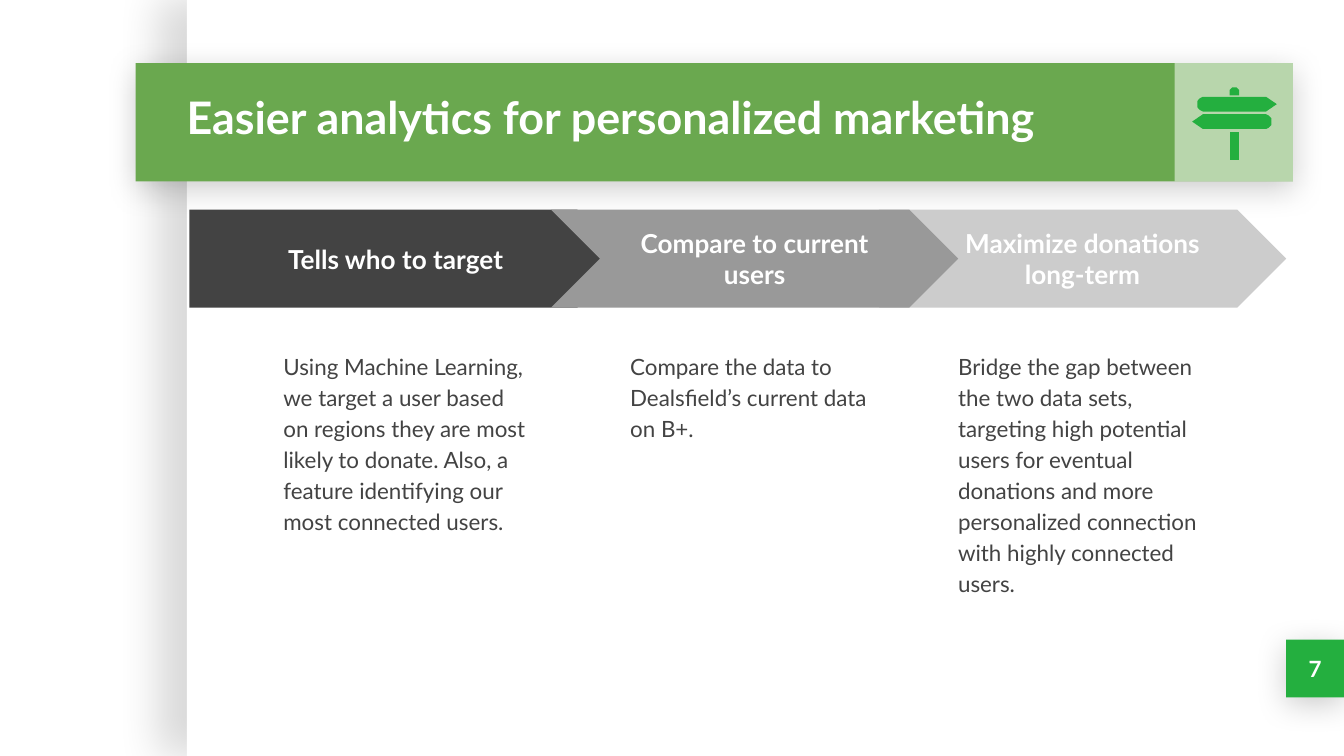
from lxml.etree import SubElement
from pptx import Presentation
from pptx.dml.color import RGBColor
from pptx.enum.shapes import MSO_SHAPE
from pptx.enum.text import MSO_ANCHOR, PP_ALIGN
from pptx.oxml.ns import qn
from pptx.util import Inches, Pt

WHITE = RGBColor(0xFF, 0xFF, 0xFF)
BLACK = RGBColor(0x00, 0x00, 0x00)
GREEN = RGBColor(0x24, 0xAF, 0x3F)
BANNER_GREEN = RGBColor(0x6A, 0xA8, 0x4F)
DARK_GRAY = RGBColor(0x43, 0x43, 0x43)
MID_GRAY = RGBColor(0x99, 0x99, 0x99)
LIGHT_GRAY = RGBColor(0xCC, 0xCC, 0xCC)
FONT = "Lato"
PAGE_WIDTH = 10
PAGE_HEIGHT = PAGE_WIDTH * 9 / 16

STEPS = [
    (MSO_SHAPE.CHEVRON, 6.54, 3.03, LIGHT_GRAY, 7.03, "Maximize donations long-term",
     "Bridge the gap between the two data sets, targeting high potential users for eventual "
     "donations and more personalized connection with highly connected users."),
    (MSO_SHAPE.PENTAGON, 1.41, 3.25, DARK_GRAY, 2.01, "Tells who to target",
     "Using Machine Learning, we target a user based on regions they are most likely to "
     "donate. Also, a feature identifying our most connected users."),
    (MSO_SHAPE.CHEVRON, 4.1, 3.03, MID_GRAY, 4.59, "Compare to current users",
     "Compare the data to Dealsfield’s current data on B+."),
]


def set_alpha(color_element, percent):
    """Give a colour element an opacity in percent."""
    SubElement(color_element, qn("a:alpha"), val=str(percent * 1000))


def add_shadow(shape, opacity, blur, distance, angle):
    """Add a black outer shadow to a shape."""
    effects = shape._element.spPr.find(qn("a:effectLst"))
    shadow = SubElement(effects, qn("a:outerShdw"), blurRad=str(Pt(blur)),
                        dist=str(Pt(distance)), dir=str(angle * 60000),
                        algn="bl", rotWithShape="0")
    set_alpha(SubElement(shadow, qn("a:srgbClr"), val=str(BLACK)), opacity)


def paint(shape, color):
    """Give a shape a plain fill without line or inherited shadow."""
    shape.shadow.inherit = False
    shape.fill.solid()
    shape.fill.fore_color.rgb = color
    shape.line.fill.background()


def add_block(page, kind, left, top, width, height, color):
    """Add a filled preset shape."""
    block = page.shapes.add_shape(kind, Inches(left), Inches(top), Inches(width), Inches(height))
    paint(block, color)
    return block


def write(shape, text, size, color=WHITE, bold=True, align=PP_ALIGN.CENTER,
          anchor=MSO_ANCHOR.MIDDLE, spacing=1.0):
    """Write one formatted paragraph in a shape."""
    frame = shape.text_frame
    frame.word_wrap = True
    frame.vertical_anchor = anchor
    frame.margin_left = frame.margin_right = Inches(0.1)
    frame.margin_top = frame.margin_bottom = Inches(0.1)
    para = frame.paragraphs[0]
    para.alignment = align
    para.line_spacing = spacing
    span = para.add_run()
    span.text = text
    span.font.name = FONT
    span.font.size = Pt(size)
    span.font.bold = bold
    span.font.color.rgb = color


def add_text(page, left, top, width, height, text, size, **style):
    """Add a text box with one formatted paragraph."""
    box = page.shapes.add_textbox(Inches(left), Inches(top), Inches(width), Inches(height))
    write(box, text, size, **style)


def add_outline(page, points):
    """Add a closed green outline through points in inches."""
    corners = [(Inches(x), Inches(y)) for x, y in points]
    builder = page.shapes.build_freeform(*corners[0])
    builder.add_line_segments(corners[1:], close=True)
    paint(builder.convert_to_shape(), GREEN)


def add_board(page, back, top, direction):
    """Add a signpost board with a rounded back, pointing right (1) or left (-1)."""
    upper = [(0.51, 0), (0.04, 0), (0.02, 0.01), (0.01, 0.02), (0, 0.03)]
    lower = [(x, 0.11 - y) for x, y in reversed(upper)]
    points = upper + lower + [(0.59, 0.11 / 2)]
    add_outline(page, [(back + direction * x, top + y) for x, y in points])


def add_signpost(page):
    """Draw the signpost icon."""
    add_board(page, 8.91, 0.72, 1)
    add_board(page, 9.46, 0.85, -1)
    add_outline(page, [(9.17, 0.65), (9.16, 0.66), (9.15, 0.67), (9.15, 0.71),
                       (9.22, 0.71), (9.22, 0.67), (9.21, 0.66), (9.2, 0.65)])
    add_outline(page, [(9.15, 0.98), (9.15, 1.19), (9.22, 1.19), (9.22, 0.98)])


def add_frame(page):
    """Draw the panel, banner, icon tile, title and page number."""
    panel = add_block(page, MSO_SHAPE.RECTANGLE, 1.39, 0, 8.61, PAGE_HEIGHT, WHITE)
    add_shadow(panel, 15, 22.5, 15, 180)
    badge = add_block(page, MSO_SHAPE.RECTANGLE, 9.57, 4.76, 0.43, 0.43, GREEN)
    banner = add_block(page, MSO_SHAPE.RECTANGLE, 1.01, 0.47, 8.61, 0.88, BANNER_GREEN)
    for shape in (badge, banner):
        add_shadow(shape, 20, 16.9, 3.8, 90)
    tile = add_block(page, MSO_SHAPE.RECTANGLE, 8.74, 0.47, 0.88, 0.88, WHITE)
    set_alpha(tile._element.spPr.find(qn("a:solidFill"))[0], 53)
    add_text(page, 1.29, 0.43, 7.37, 0.88, "Easier analytics for personalized marketing", 24,
             align=PP_ALIGN.LEFT)
    add_text(page, 9.57, 4.76, 0.43, 0.43, "7", 12)


def add_step(page, kind, left, width, color, text_left, heading, body):
    """Add one process arrow with its description below."""
    arrow = add_block(page, kind, left, 1.56, width, 0.73, color)
    arrow.adjustments[0] = 0.5
    write(arrow, heading, 14)
    add_text(page, text_left, 2.5, 2.05, 2.1, body, 12, color=DARK_GRAY, bold=False,
             align=PP_ALIGN.LEFT, anchor=MSO_ANCHOR.TOP, spacing=1.15)


def main():
    """Build the slide and save it."""
    deck = Presentation()
    deck.slide_width, deck.slide_height = Inches(PAGE_WIDTH), Inches(PAGE_HEIGHT)
    page = deck.slides.add_slide(deck.slide_layouts[6])
    add_frame(page)
    add_signpost(page)
    for step in STEPS:
        add_step(page, *step)
    deck.save("out.pptx")


if __name__ == "__main__":
    main()
